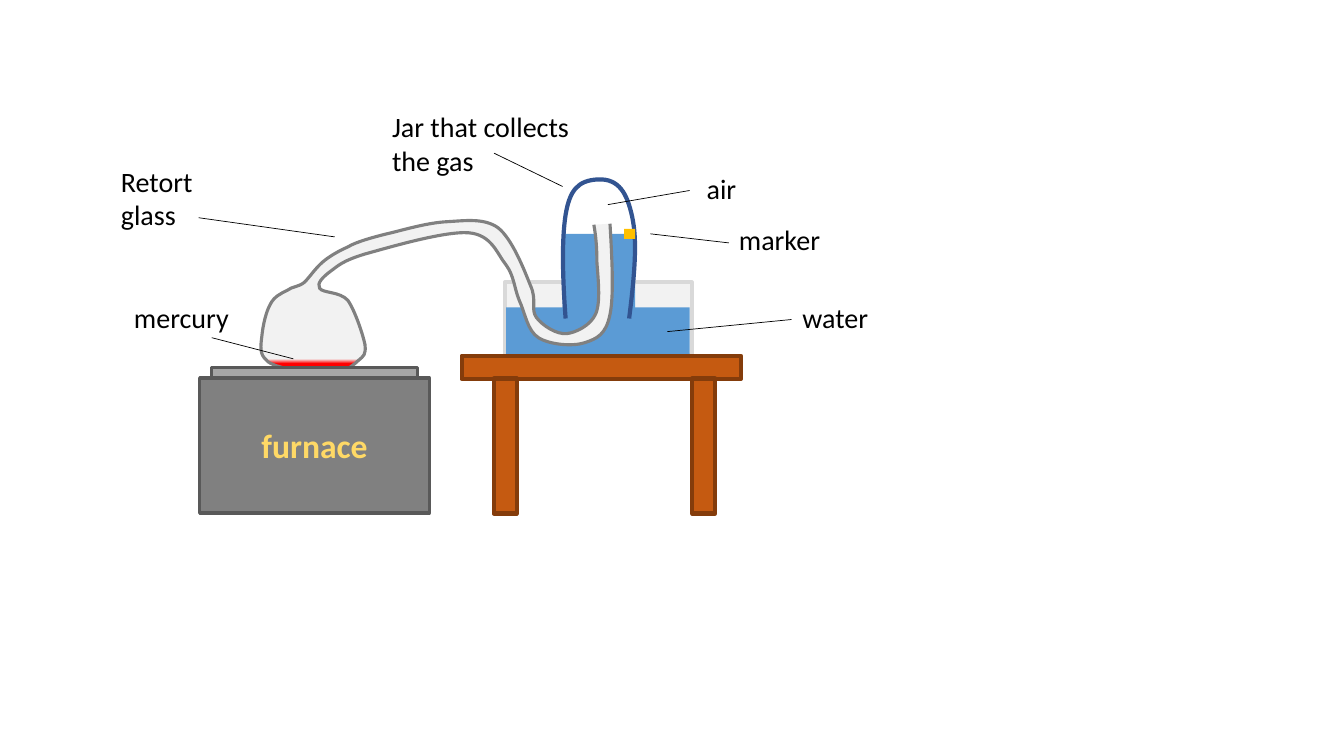
from lxml import etree
from pptx import Presentation
from pptx.dml import color
from pptx.enum import shapes, text
from pptx.oxml import ns
from pptx.util import Inches, Pt

deck = Presentation()
deck.slide_width, deck.slide_height = Inches(13.33), Inches(7.5)
slide = deck.slides.add_slide(deck.slide_layouts[6])
parts = slide.shapes


def paint(shape, fill, edge, width):
    shape.shadow.inherit = False
    if fill:
        shape.fill.solid()
        shape.fill.fore_color.rgb = color.RGBColor.from_string(fill)
    else:
        shape.fill.background()
    if edge:
        shape.line.color.rgb = color.RGBColor.from_string(edge)
        shape.line.width = Pt(width)
    else:
        shape.line.fill.background()


# Boxes: those behind the glass, then those in front
WOOD = ("C55A11", "843C0B", 3)
WATER = ("5B9BD5", None, 0)
back = [
    (5.01, 2.8, 1.85, 0.72, 0, "F2F2F2", "D9D9D9", 3),  # trough
    (5.02, 3.05, 1.82, 0.48, 0, *WATER),
    (1.98, 3.75, 2.28, 1.34, 0, "808080", "595959", 2.25),  # furnace
    (4.58, 3.53, 2.77, 0.23, 0, *WOOD),  # table top and legs
    (4.34, 4.31, 1.34, 0.23, 90, *WOOD),
    (6.31, 4.31, 1.34, 0.23, 90, *WOOD),
    (5.58, 2.32, 0.72, 0.84, 0, *WATER),
]
front = [
    (2.1, 3.65, 2.04, 0.1, 0, "A6A6A6", "595959", 2.25),  # hot plate
    (6.19, 2.27, 0.11, 0.1, 0, "FFC000", None, 0),  # marker
]

# Curves: a start point, then two handles and an end point per piece
jar = [
    (5.61, 3.16),
    (5.58, 2.76), (5.57, 2.38), (5.61, 2.13),
    (5.65, 1.89), (5.73, 1.79), (5.93, 1.78),
    (6.14, 1.77), (6.22, 1.92), (6.27, 2.15),
    (6.32, 2.38), (6.3, 2.68), (6.24, 3.16),
]
retort = [
    (6.05, 2.22),
    (6.07, 2.57), (6.09, 2.93), (6.05, 3.12),
    (6.01, 3.32), (5.92, 3.36), (5.8, 3.4),
    (5.68, 3.44), (5.45, 3.42), (5.34, 3.35),
    (5.23, 3.28), (5.21, 3.11), (5.15, 2.98),
    (5.1, 2.86), (5.1, 2.74), (5.02, 2.63),
    (4.93, 2.52), (4.88, 2.33), (4.65, 2.31),
    (4.41, 2.29), (3.84, 2.46), (3.62, 2.52),
    (3.39, 2.59), (3.35, 2.64), (3.28, 2.69),
    (3.2, 2.75), (3.14, 2.81), (3.17, 2.86),
    (3.2, 2.91), (3.37, 2.89), (3.45, 2.98),
    (3.52, 3.08), (3.6, 3.32), (3.62, 3.42),
    (3.63, 3.52), (3.61, 3.53), (3.55, 3.58),
    (3.49, 3.64), (3.38, 3.71), (3.26, 3.72),
    (3.14, 3.74), (2.95, 3.69), (2.85, 3.66),
    (2.74, 3.63), (2.66, 3.61), (2.62, 3.55),
    (2.57, 3.49), (2.59, 3.4), (2.6, 3.31),
    (2.61, 3.22), (2.64, 3.09), (2.68, 3.02),
    (2.72, 2.94), (2.79, 2.91), (2.85, 2.88),
    (2.9, 2.84), (2.96, 2.85), (3.02, 2.8),
    (3.07, 2.75), (3.13, 2.66), (3.2, 2.6),
    (3.27, 2.54), (3.36, 2.49), (3.45, 2.45),
    (3.53, 2.4), (3.71, 2.35), (3.88, 2.31),
    (4.04, 2.27), (4.25, 2.21), (4.43, 2.2),
    (4.61, 2.19), (4.8, 2.16), (4.94, 2.26),
    (5.08, 2.37), (5.2, 2.68), (5.26, 2.83),
    (5.33, 2.98), (5.26, 3.07), (5.32, 3.15),
    (5.38, 3.23), (5.52, 3.32), (5.62, 3.31),
    (5.71, 3.3), (5.86, 3.23), (5.91, 3.11),
    (5.96, 2.99), (5.93, 2.75), (5.92, 2.6),
    (5.92, 2.45), (5.91, 2.34), (5.89, 2.23),
]


def trace(knots, place):
    pen = parts.build_freeform(*map(Inches, knots[0]))
    pen.add_line_segments([tuple(map(Inches, k)) for k in knots[3::3]], close=False)
    shape = pen.convert_to_shape()
    x, y, w, h = map(Inches, place)
    shape.left, shape.top, shape.width, shape.height = x, y, w, h
    # Turn the straight pieces into curves within the new frame
    route = next(shape._element.iter(ns.qn("a:path")))
    route.set("w", str(w))
    route.set("h", str(h))
    for child in list(route):
        route.remove(child)
    for i in range(0, len(knots), 3):
        piece = etree.SubElement(route, ns.qn("a:cubicBezTo" if i else "a:moveTo"))
        for kx, ky in knots[max(i - 2, 0):i + 1]:
            etree.SubElement(piece, ns.qn("a:pt"), x=str(Inches(kx) - x), y=str(Inches(ky) - y))
    return shape


# Draw the set-up from back to front
boxes = []
for group in (back, front):
    for x, y, w, h, turn, *look in group:
        box = parts.add_shape(shapes.MSO_SHAPE.RECTANGLE, *map(Inches, (x, y, w, h)))
        box.rotation = turn
        paint(box, *look)
        boxes.append(box)
    if group is back:
        paint(trace(jar, (5.58, 1.78, 0.72, 1.39)), None, "325491", 3)
        flask = trace(retort, (2.59, 2.19, 3.48, 1.54))
        paint(flask, None, "808080", 2.25)
        # Mercury lies at the bottom of the flask
        flask.fill.gradient()
        flask.fill.gradient_angle = 270
        for stop, spot, shade in zip(flask.fill.gradient_stops, (0.89, 0.92), ("F2F2F2", "FF0000")):
            stop.position = spot
            stop.color.rgb = color.RGBColor.from_string(shade)

# Furnace title
frame = boxes[2].text_frame
frame.vertical_anchor = text.MSO_ANCHOR.MIDDLE
title = frame.paragraphs[0]
title.alignment = text.PP_ALIGN.CENTER
title.text = "furnace"
font = title.runs[0].font
for key, value in {"name": "Calibri", "size": Pt(24), "bold": True}.items():
    setattr(font, key, value)
font.color.rgb = color.RGBColor.from_string("FFD966")

# Labels: words, box, then leader line from and to
labels = [
    ("marker", (7.23, 2.16, 1.21, 0.44), (6.45, 2.32, 7.23, 2.41)),
    ("Retort glass", (1.1, 1.58, 1.21, 0.77), (1.97, 2.16, 3.32, 2.35)),
    ("Jar that collects the gas", (3.79, 1.04, 2.01, 0.77), (5.58, 1.85, 4.9, 1.52)),
    ("water", (7.86, 2.93, 1.21, 0.44), (6.62, 3.29, 7.85, 3.17)),
    ("air", (6.91, 1.65, 1.21, 0.44), (6.03, 2.03, 6.84, 1.89)),
    ("mercury", (1.23, 2.93, 1.21, 0.44), (2.1, 3.35, 2.91, 3.56)),
]
for words, place, ends in labels:
    line = parts.add_connector(shapes.MSO_CONNECTOR.STRAIGHT, *map(Inches, ends))
    line.line.color.rgb = color.RGBColor.from_string("000000")
    line.line.width = Pt(0.5)
    etree.SubElement(line._element.spPr, ns.qn("a:effectLst"))
    frame = parts.add_textbox(*map(Inches, place)).text_frame
    frame.word_wrap = True
    frame.auto_size = text.MSO_AUTO_SIZE.SHAPE_TO_FIT_TEXT
    frame.text = words
    font = frame.paragraphs[0].runs[0].font
    for key, value in {"name": "Calibri", "size": Pt(20)}.items():
        setattr(font, key, value)
    font.color.rgb = color.RGBColor.from_string("000000")

deck.save("out.pptx")
